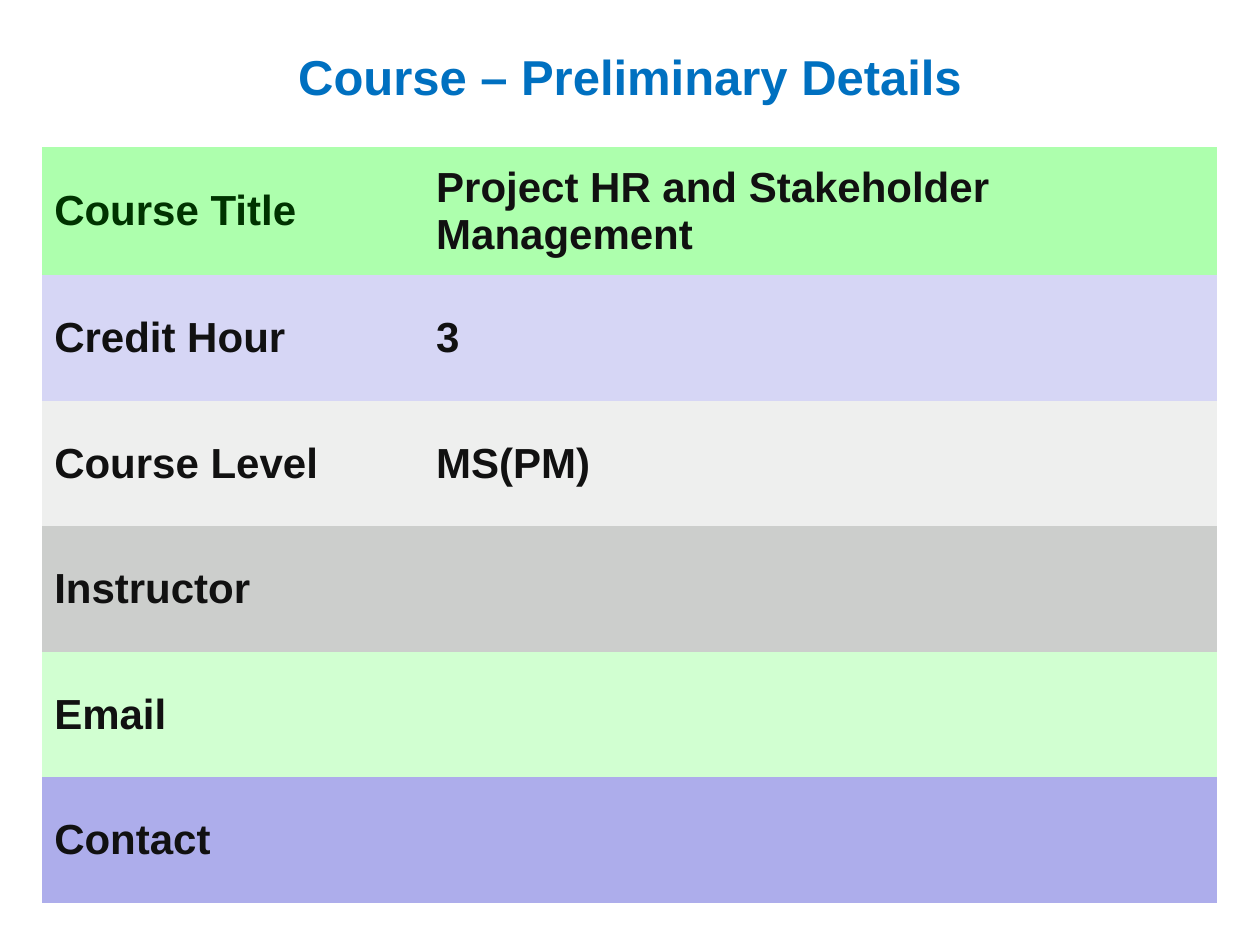
from dataclasses import dataclass

from lxml.etree import SubElement as Sub
from pptx import Presentation
from pptx.dml.color import RGBColor as Rgb
from pptx.enum.shapes import MSO_CONNECTOR as Link
from pptx.enum.text import MSO_ANCHOR as Anchor, PP_ALIGN as Align
from pptx.oxml.ns import qn
from pptx.util import Cm, Pt

TITLE = "Course – Preliminary Details"
ROWS = [
    ("Course Title", "Project HR and Stakeholder Management", "ADFFAD"),
    ("Credit Hour", "3", "D6D6F5"),
    ("Course Level", "MS(PM)", "EEEFEE"),
    ("Instructor", "", "CCCECC"),
    ("Email", "", "D1FFD1"),
    ("Contact", "", "ADADEB"),
]


@dataclass(frozen=True)
class Theme:
    font: str = "Arial"
    title: str = "0070C0"
    head: str = "003300"
    body: str = "111111"
    rule: str = "FFFFFF"
    big: int = 28
    size: int = 24


THEME = Theme()
WIDE, HIGH = 25.4, 19.05
EDGE, TOP = 0.84, 2.96
COLS = (7.7, 16.0)
FIRST, REST = 2.59, 2.53


def style(frame, size, color):
    for para in frame.paragraphs:
        for run in para.runs:
            font = run.font
            font.name, font.size, font.bold = THEME.font, Pt(size), True
            font.color.rgb = Rgb.from_string(color)


def add_rule(slide):
    rule = slide.shapes.add_connector(
        Link.STRAIGHT, 0, Cm(2.74), Cm(WIDE), Cm(2.77)
    )
    rule.line.color.rgb = Rgb.from_string(THEME.rule)
    rule.line.width = Pt(1)
    for end in ("a:headEnd", "a:tailEnd"):
        Sub(rule.line._ln, qn(end), type="oval")
    Sub(rule._element.spPr, qn("a:effectLst"))


def add_title(slide):
    frame = slide.shapes.add_textbox(0, Cm(0.74), Cm(WIDE), Cm(1.57)).text_frame
    frame.word_wrap = True
    frame.vertical_anchor = Anchor.MIDDLE
    frame.text = TITLE
    frame.paragraphs[0].alignment = Align.CENTER
    style(frame, THEME.big, THEME.title)


def add_details(slide):
    highs = [FIRST] + [REST] * (len(ROWS) - 1)
    table = slide.shapes.add_table(
        len(ROWS), len(COLS), Cm(EDGE), Cm(TOP), Cm(sum(COLS)), Cm(sum(highs))
    ).table
    table.first_row = table.horz_banding = False
    for col, wide in zip(table.columns, COLS):
        col.width = Cm(wide)
    for i, (label, value, fill) in enumerate(ROWS):
        table.rows[i].height = Cm(highs[i])
        for j, text in enumerate((label, value)):
            cell = table.cell(i, j)
            cell.fill.solid()
            cell.fill.fore_color.rgb = Rgb.from_string(fill)
            cell.vertical_anchor = Anchor.MIDDLE
            if text:
                cell.text_frame.text = text
                color = THEME.head if i == j == 0 else THEME.body
                style(cell.text_frame, THEME.size, color)
    tag = table._tbl.tblPr.find(qn("a:tableStyleId"))
    tag.text = "{2D5ABB26-0587-4C30-8999-92F81FD0307C}"


def main():
    deck = Presentation()
    deck.slide_width, deck.slide_height = Cm(WIDE), Cm(HIGH)
    slide = deck.slides.add_slide(deck.slide_layouts[6])
    add_rule(slide)
    add_title(slide)
    add_details(slide)
    deck.save("out.pptx")


if __name__ == "__main__":
    main()
